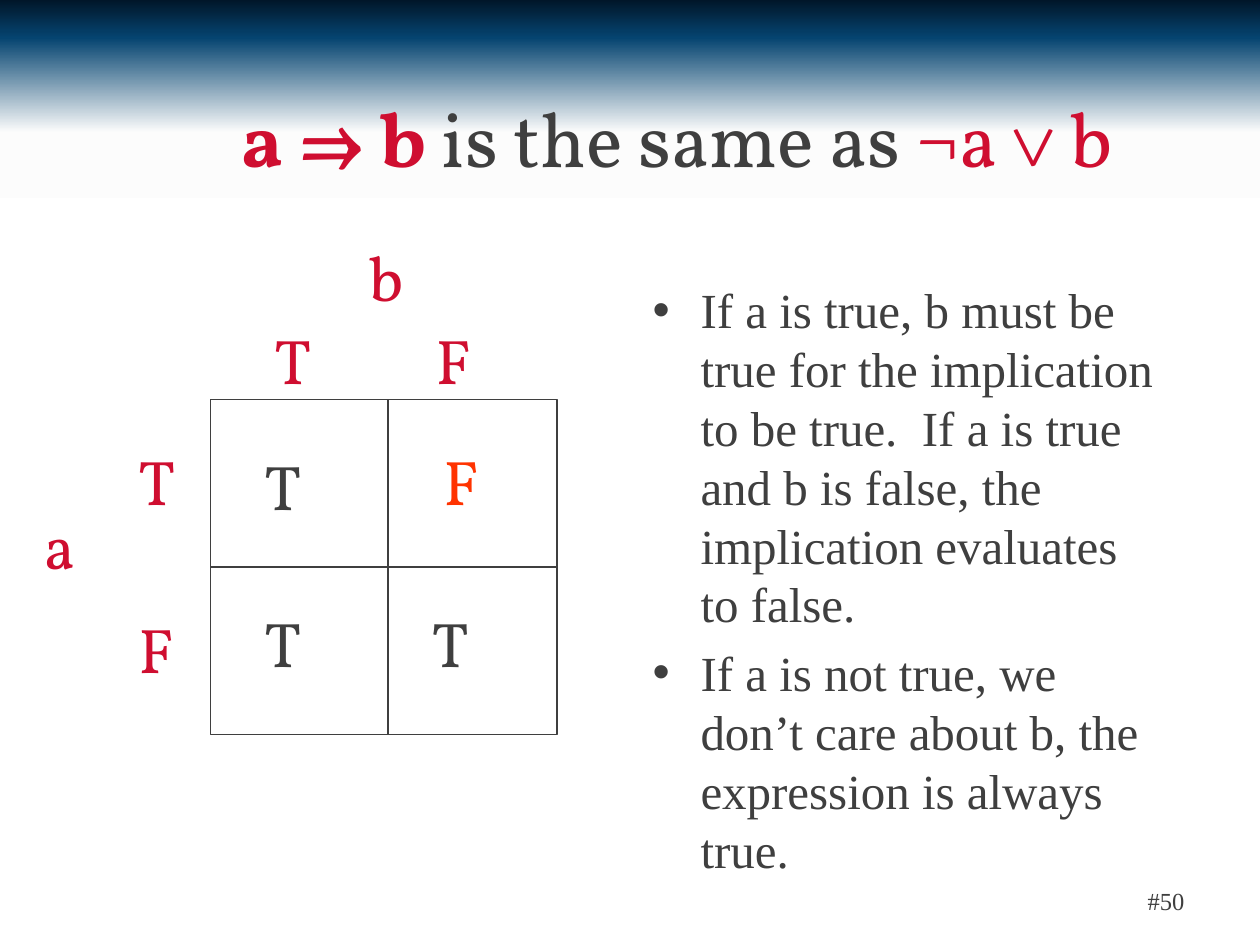
from lxml.etree import SubElement as Sub
from pptx import Presentation
from pptx.dml.color import RGBColor
from pptx.enum.shapes import MSO_CONNECTOR as Link, MSO_SHAPE as Shape
from pptx.enum.text import MSO_ANCHOR as Anchor, MSO_AUTO_SIZE as Fit, PP_ALIGN as Align
from pptx.oxml.ns import qn
from pptx.util import Inches, Pt

RED = RGBColor(0xCF, 0x0E, 0x30)
GRAY = RGBColor(0x3F, 0x3F, 0x3F)
ORANGE = RGBColor(0xFF, 0x33, 0x00)
WHITE = RGBColor(0xFF, 0xFF, 0xFF)
SERIF, DISPLAY = "Times New Roman", "Vollkorn"

STOPS = [(0, "011629"), (4, "054470"), (14, "FCFCFC"), (21, "FFFFFF"), (98, "FFFFFF")]
TITLE = [("a ⇒ b", RED, True), (" is the same as ", GRAY, False), ("¬a ∨ b", RED, False)]
POINTS = [
    "If a is true, b must be true for the implication to be true.  "
    "If a is true and b is false, the implication evaluates to false.",
    "If a is not true, we don’t care about b, the expression is always true.",
]
LABELS = [
    ("a", 0.25, 3.97, RED), ("b", 2.83, 1.84, RED),
    ("T", 1, 3.46, RED), ("F", 1, 4.8, RED),
    ("T", 2.08, 2.5, RED), ("F", 3.36, 2.5, RED),
    ("T", 2, 3.5, GRAY), ("F", 3.42, 3.46, ORANGE),
    ("T", 2, 4.75, GRAY), ("T", 3.33, 4.75, GRAY),
]
LEFT, TOP, RIGHT, BASE = 1.67, 3.17, 4.42, 5.83
MID_X, MID_Y = 3.08, 4.5


def paint_back(slide):
    """Fill the background with a downward gradient."""
    fill = slide.background.fill
    fill.gradient()
    fill.gradient_angle = 270
    grad = slide.background._cSld.find(".//" + qn("a:gradFill"))
    stops = grad.find(qn("a:gsLst"))
    for old in list(stops):
        stops.remove(old)
    for place, tone in STOPS:
        stop = Sub(stops, qn("a:gs"), pos=str(place * 1000))
        Sub(stop, qn("a:srgbClr"), val=tone)


def add_run(para, text, size, font, color, bold=False):
    """Add one formatted run to a paragraph."""
    run = para.add_run()
    run.text = text
    run.font.size, run.font.name, run.font.bold = Pt(size), font, bold
    run.font.color.rgb = color


def place(shape, left, top, width, height, anchor):
    """Move a text shape and set how its frame behaves."""
    shape.left, shape.top = Inches(left), Inches(top)
    shape.width, shape.height = Inches(width), Inches(height)
    frame = shape.text_frame
    frame.word_wrap, frame.auto_size = True, Fit.NONE
    frame.vertical_anchor = anchor
    return frame


def add_text(slide, text, box, size, font, color, anchor=Anchor.TOP, align=Align.LEFT):
    """Add a text box with a single run."""
    shape = slide.shapes.add_textbox(0, 0, 0, 0)
    para = place(shape, *box, anchor).paragraphs[0]
    para.alignment = align
    add_run(para, text, size, font, color)


def fill_title(shape):
    """Write the title in runs of different colour."""
    para = place(shape, 1.25, 0.75, 8.25, 0.67, Anchor.MIDDLE).paragraphs[0]
    para.alignment = Align.CENTER
    for text, color, bold in TITLE:
        add_run(para, text, 44, DISPLAY, color, bold)


def fill_list(shape):
    """Write the bulleted list."""
    frame = place(shape, 5.08, 2.17, 4.2, 4.5, Anchor.TOP)
    for i, text in enumerate(POINTS):
        para = frame.add_paragraph() if i else frame.paragraphs[0]
        para.space_before = Pt(5.6)
        props = para._p.get_or_add_pPr()
        props.set("marL", str(Inches(0.38)))
        props.set("indent", str(-Inches(0.38)))
        Sub(props, qn("a:buChar"), char="•")
        add_run(para, text, 28, SERIF, GRAY)


def add_line(slide, x1, y1, x2, y2):
    """Draw a straight rule without a shadow."""
    line = slide.shapes.add_connector(Link.STRAIGHT, *map(Inches, (x1, y1, x2, y2)))
    line.line.color.rgb, line.line.width = GRAY, Pt(1)
    Sub(line._element.spPr, qn("a:effectLst"))


def add_grid(slide):
    """Draw the two by two truth grid."""
    size = (LEFT, TOP, RIGHT - LEFT, BASE - TOP)
    rect = slide.shapes.add_shape(Shape.RECTANGLE, *map(Inches, size))
    rect.shadow.inherit = False
    rect.fill.solid()
    rect.fill.fore_color.rgb = WHITE
    rect.line.color.rgb, rect.line.width = GRAY, Pt(1)
    add_line(slide, LEFT, MID_Y, RIGHT, MID_Y)
    add_line(slide, MID_X, TOP, MID_X, BASE)


def main():
    """Build and save the slide."""
    deck = Presentation()
    deck.slide_width, deck.slide_height = Inches(10), Inches(7.5)
    slide = deck.slides.add_slide(deck.slide_layouts[1])
    paint_back(slide)
    fill_title(slide.shapes.title)
    fill_list(slide.placeholders[1])
    add_grid(slide)
    for text, left, top, color in LABELS:
        add_text(slide, text, (left, top, 0.75, 0.7), 36, DISPLAY, color)
    add_text(slide, "#50", (7.17, 6.95, 2.33, 0.4), 14, SERIF, GRAY,
             Anchor.MIDDLE, Align.RIGHT)
    deck.save("out.pptx")


main()
